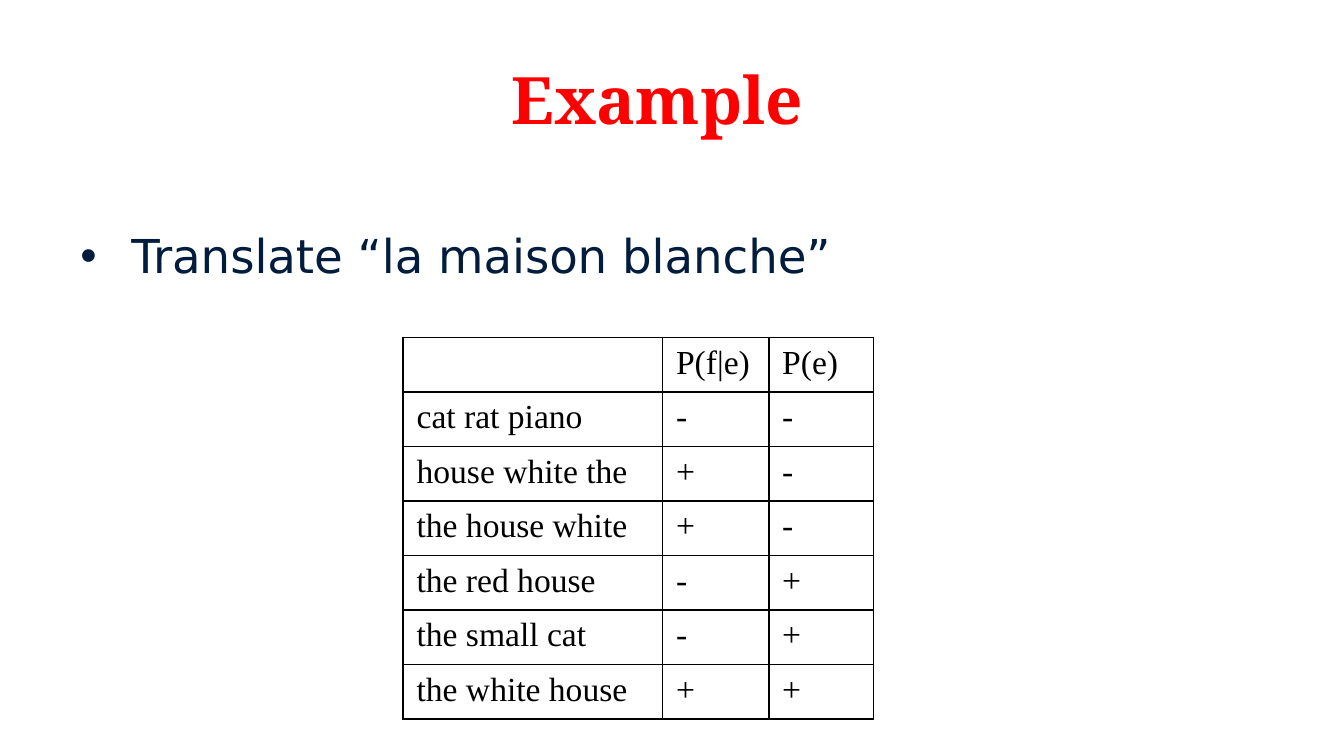
from dataclasses import dataclass

from lxml import etree
from pptx import Presentation
from pptx.dml.color import RGBColor
from pptx.enum.text import MSO_ANCHOR, PP_ALIGN
from pptx.oxml.ns import qn
from pptx.util import Inches, Pt

CENTER = PP_ALIGN.CENTER
LEFT = PP_ALIGN.LEFT
TOP = MSO_ANCHOR.TOP
TITLE_ONLY = 5


@dataclass(frozen=True)
class TextStyle:
    font: str
    size: float
    color: str
    bold: bool = False


@dataclass(frozen=True)
class Theme:
    title: TextStyle = TextStyle("Noto Serif", 35, "FF0000", True)
    bullet: TextStyle = TextStyle("DejaVu Sans", 25, "011C3C")
    cell: TextStyle = TextStyle("Times New Roman", 18, "000000")
    background: str = "FFFFFF"
    border: str = "000000"
    border_width: float = 1


THEME = Theme()

SCORES = [
    ("", "P(f|e)", "P(e)"),
    ("cat rat piano", "-", "-"),
    ("house white the", "+", "-"),
    ("the house white", "+", "-"),
    ("the red house", "-", "+"),
    ("the small cat", "-", "+"),
    ("the white house", "+", "+"),
]
COLUMN_WIDTHS = (1.93, 0.79, 0.78)


def write_text(frame, text, style, alignment=LEFT):
    frame.text = text
    paragraph = frame.paragraphs[0]
    paragraph.alignment = alignment
    for span in [paragraph, *paragraph.runs]:
        span.font.name = style.font
        span.font.size = Pt(style.size)
        span.font.bold = style.bold
        span.font.color.rgb = RGBColor.from_string(style.color)
    return paragraph


def place_title(page, box, text):
    title = page.shapes.title
    title.left, title.top, title.width, title.height = map(Inches, box)
    title.text_frame.vertical_anchor = TOP
    title.text_frame.margin_top = Inches(0.01)
    write_text(title.text_frame, text, THEME.title, CENTER)


def add_bullet(page, box, text):
    frame = page.shapes.add_textbox(*map(Inches, box)).text_frame
    frame.word_wrap = True
    frame.vertical_anchor = TOP
    paragraph = write_text(frame, text, THEME.bullet)
    paragraph.space_before = Pt(3.5)
    properties = paragraph._p.get_or_add_pPr()
    indent = Inches(0.38)
    properties.set("marL", str(indent))
    properties.set("indent", str(-indent))
    etree.SubElement(properties, qn("a:buFont"), typeface="Arial")
    etree.SubElement(properties, qn("a:buChar"), char="•")


def set_borders(cell):
    properties = cell._tc.get_or_add_tcPr()
    for position, side in enumerate(("lnL", "lnR", "lnT", "lnB")):
        line = etree.Element(qn(f"a:{side}"), w=str(Pt(THEME.border_width)))
        fill = etree.SubElement(line, qn("a:solidFill"))
        etree.SubElement(fill, qn("a:srgbClr"), val=THEME.border)
        properties.insert(position, line)


def add_score_table(page, box, rows, widths):
    table = page.shapes.add_table(len(rows), len(widths), *map(Inches, box)).table
    table.first_row = False
    table.horz_banding = False
    for column, width in zip(table.columns, widths):
        column.width = Inches(width)
    for row, texts in zip(table.rows, rows):
        row.height = Inches(box[3] / len(rows))
        for cell, text in zip(row.cells, texts):
            cell.fill.background()
            set_borders(cell)
            write_text(cell.text_frame, text, THEME.cell)


def build_example_page(deck):
    page = deck.slides.add_slide(deck.slide_layouts[TITLE_ONLY])
    page.background.fill.solid()
    page.background.fill.fore_color.rgb = RGBColor.from_string(THEME.background)
    place_title(page, (0.28, 0.43, 9.22, 0.77), "Example")
    add_bullet(page, (0.5, 1.64, 9, 2.96), "Translate “la maison blanche”")
    add_score_table(page, (3, 2.51, 3.5, 2.84), SCORES, COLUMN_WIDTHS)


deck = Presentation()
deck.slide_width = Inches(10)
deck.slide_height = deck.slide_width * 9 // 16
build_example_page(deck)
deck.save("out.pptx")
